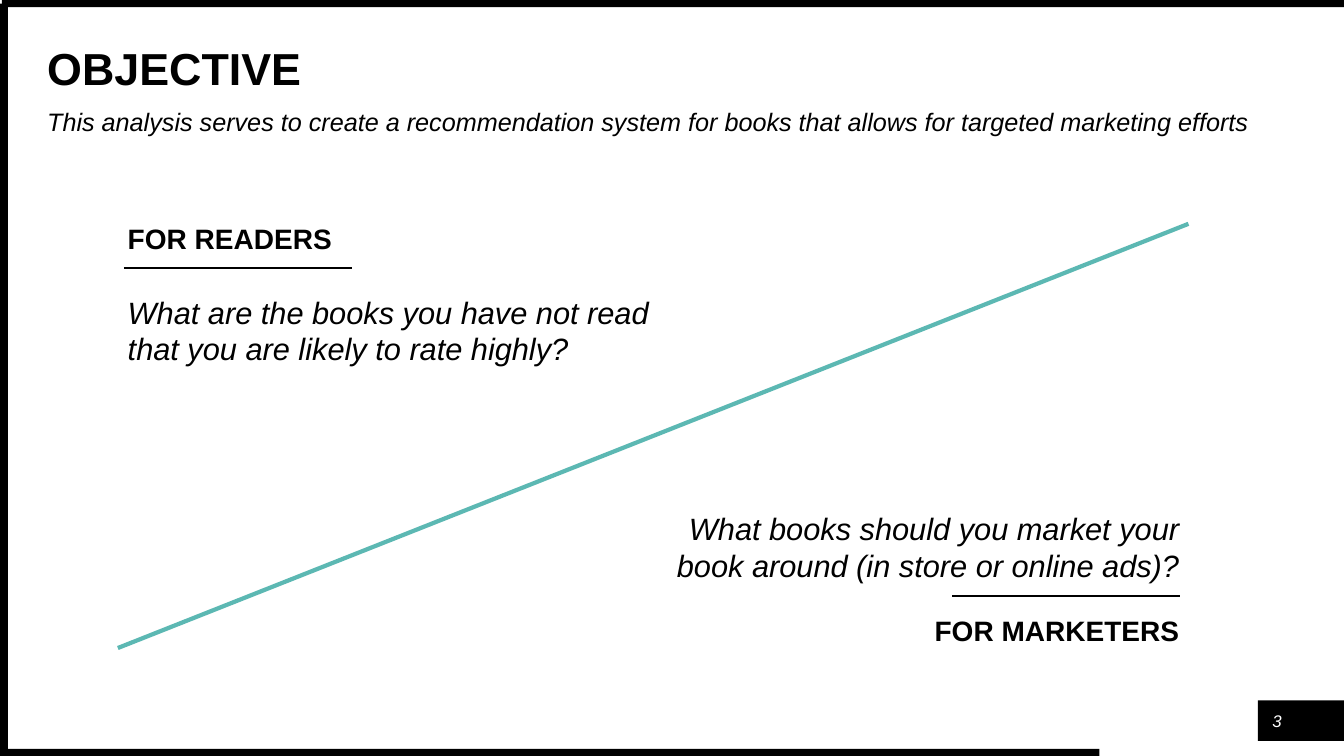
from lxml.etree import SubElement
from pptx import Presentation
from pptx.dml.color import RGBColor
from pptx.enum.shapes import MSO_CONNECTOR, MSO_SHAPE
from pptx.enum.text import MSO_ANCHOR, PP_ALIGN
from pptx.oxml.ns import qn
from pptx.util import Cm, Pt

BLACK = RGBColor(0x00, 0x00, 0x00)
WHITE = RGBColor(0xFF, 0xFF, 0xFF)
TEAL = RGBColor(0x5C, 0xB8, 0xB3)
FONT = "Arial"
WIDTH, HEIGHT = 33.87, 19.05


def add_bar(slide, left, top, width, height):
    bar = slide.shapes.add_shape(
        MSO_SHAPE.RECTANGLE, Cm(left), Cm(top), Cm(width), Cm(height))
    bar.shadow.inherit = False
    bar.fill.solid()
    bar.fill.fore_color.rgb = BLACK
    bar.line.fill.background()


def add_line(slide, start, end, color, weight):
    line = slide.shapes.add_connector(
        MSO_CONNECTOR.STRAIGHT, Cm(start[0]), Cm(start[1]), Cm(end[0]), Cm(end[1]))
    line.line.color.rgb = color
    line.line.width = Pt(weight)
    SubElement(line._element.spPr, qn("a:effectLst"))


def add_text(slide, box, text, size, bold=False, italic=False, color=BLACK,
             align=PP_ALIGN.LEFT, anchor=MSO_ANCHOR.TOP, inset=(0, 0), spacing=1.0):
    shape = slide.shapes.add_textbox(*(Cm(length) for length in box))
    frame = shape.text_frame
    frame.word_wrap = True
    frame.vertical_anchor = anchor
    frame.margin_left = frame.margin_right = Cm(inset[0])
    frame.margin_top = frame.margin_bottom = Cm(inset[1])
    paragraph = frame.paragraphs[0]
    paragraph.alignment = align
    paragraph.line_spacing = spacing
    run = paragraph.add_run()
    run.text = text
    run.font.name = FONT
    run.font.size = Pt(size)
    run.font.bold = bold
    run.font.italic = italic
    run.font.color.rgb = color


def add_frame(slide, width, height):
    thickness = 0.18
    add_bar(slide, 0, height - thickness, 27.71, thickness)
    add_bar(slide, 0.05, 0, width - 0.05, thickness)
    add_bar(slide, 0, 0.09, 0.2, height - 0.09)


def add_page_number(slide, left, top, number):
    add_bar(slide, left, top, WIDTH - left, 1.02)
    add_text(slide, (left + 0.1, top + 0.13, 0.76, 0.76), number, 12, italic=True,
             color=WHITE, align=PP_ALIGN.CENTER, anchor=MSO_ANCHOR.MIDDLE)


def add_heading(slide, left, top, title, subtitle):
    add_text(slide, (left, top, 25.55, 1.19), title, 32, bold=True,
             anchor=MSO_ANCHOR.MIDDLE, spacing=0.9)
    add_text(slide, (left, top + 1.58, 30.61, 1.02), subtitle, 18, italic=True,
             spacing=0.9)


def add_audience(slide, left, top, width, label, question, label_first):
    """Label, rule and question: left-aligned from the top, or mirrored."""
    label_width, rule_width = 10.39, 5.74
    if label_first:
        align, anchor = PP_ALIGN.LEFT, MSO_ANCHOR.TOP
        label_top, rule_top, question_top = top, top + 1.3, top + 1.68
        label_left, rule_left = left, left + 0.15
    else:
        align, anchor = PP_ALIGN.RIGHT, MSO_ANCHOR.BOTTOM
        question_top, rule_top, label_top = top, top + 7.87, top + 8.18
        label_left = left + width - label_width
        rule_left = left + width - rule_width - 0.23
    add_text(slide, (label_left, label_top, label_width, 1.02), label, 20, bold=True,
             align=align, inset=(0.25, 0.13))
    add_text(slide, (left, question_top, width, 7.82), question, 22, italic=True,
             align=align, anchor=anchor, inset=(0.25, 0.25))
    add_line(slide, (rule_left, rule_top), (rule_left + rule_width, rule_top), BLACK, 1.5)


def build_objective_slide(presentation):
    slide = presentation.slides.add_slide(presentation.slide_layouts[6])
    # Border and page number
    add_frame(slide, WIDTH, HEIGHT)
    add_page_number(slide, 31.7, 17.65, "3")
    # Heading
    add_heading(slide, 1.19, 1.19, "OBJECTIVE",
                "This analysis serves to create a recommendation system for books "
                "that allows for targeted marketing efforts")
    # Diagonal divider between the two audiences
    add_line(slide, (2.97, 16.33), (29.95, 5.64), TEAL, 3)
    # Audiences
    add_audience(slide, 2.97, 5.46, 14.2, "FOR READERS",
                 "What are the books you have not read that you are likely to rate highly?",
                 label_first=True)
    add_audience(slide, 15.77, 7.14, 14.2, "FOR MARKETERS",
                 "What books should you market your book around (in store or online ads)?",
                 label_first=False)


def main():
    presentation = Presentation()
    presentation.slide_width = Cm(WIDTH)
    presentation.slide_height = Cm(HEIGHT)
    build_objective_slide(presentation)
    presentation.save("out.pptx")


if __name__ == "__main__":
    main()
